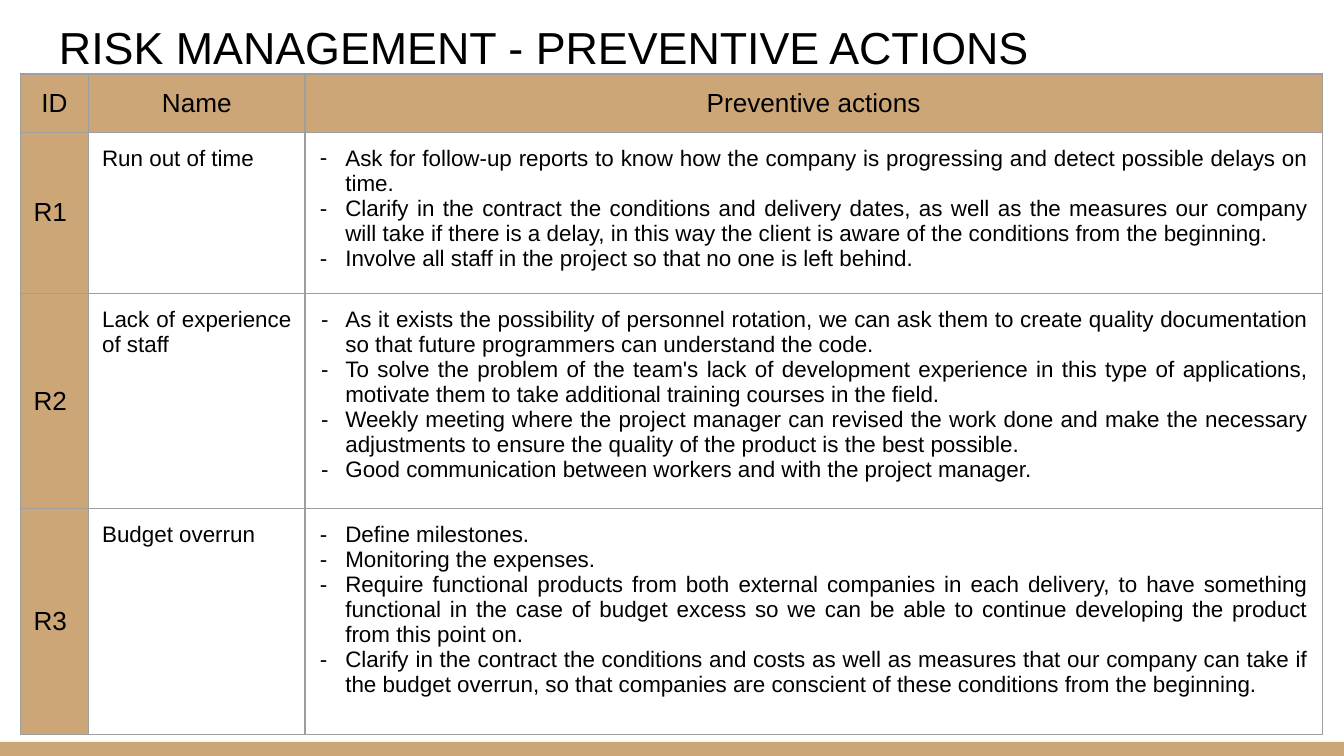
from dataclasses import dataclass

from pptx import Presentation
from pptx.dml.color import RGBColor
from pptx.enum.shapes import MSO_SHAPE as Shape
from pptx.enum.text import MSO_ANCHOR as Anchor, PP_ALIGN as Align
from pptx.oxml.ns import qn
from pptx.slide import Slide
from pptx.table import Table, _Cell as Cell
from pptx.text.text import _Paragraph as Paragraph
from pptx.util import Inches, Pt
from lxml.etree import SubElement


@dataclass(frozen=True)
class Theme:
    font: str = "Arial"
    ink: str = "000000"
    paper: str = "FFFFFF"
    accent: str = "CCA677"
    border: str = "9E9E9E"
    border_width: float = 0.75
    title_size: int = 24
    heading_size: int = 14
    body_size: int = 12


@dataclass(frozen=True)
class Risk:
    code: str
    name: str
    actions: tuple[str, ...]
    height: float
    name_align: Align = Align.LEFT
    hanging: float = 0.19


THEME = Theme()
COLUMN_WIDTHS = (0.51, 1.61, 7.57)
HEADINGS = ("ID", "Name", "Preventive actions")
HEADING_HEIGHT = 0.42
FRAME_SIDE = 3.28
ACTION_INDENT = 0.2
MARGIN = 0.1

RISKS = (
    Risk("R1", "Run out of time", (
        "Ask for follow-up reports to know how the company is progressing and "
        "detect possible delays on time.",
        "Clarify in the contract the conditions and delivery dates, as well as the "
        "measures our company will take if there is a delay, in this way the client "
        "is aware of the conditions from the beginning.",
        "Involve all staff in the project so that no one is left behind.",
    ), 1.07),
    Risk("R2", "Lack of experience of staff", (
        "As it exists the possibility of personnel rotation, we can ask them to "
        "create quality documentation so that future programmers can understand "
        "the code.",
        "To solve the problem of the team's lack of development experience in this "
        "type of applications, motivate them to take additional training courses in "
        "the field.",
        "Weekly meeting where the project manager can revised the work done and make "
        "the necessary adjustments to ensure the quality of the product is the best "
        "possible.",
        "Good communication between workers and with the project manager.",
    ), 1.56, Align.JUSTIFY, 0.18),
    Risk("R3", "Budget overrun", (
        "Define milestones.",
        "Monitoring the expenses.",
        "Require functional products from both external companies in each delivery, "
        "to have something functional in the case of budget excess so we can be able "
        "to continue developing the product from this point on.",
        "Clarify in the contract the conditions and costs as well as measures that "
        "our company can take if the budget overrun, so that companies are conscient "
        "of these conditions from the beginning.",
    ), 1.68),
)


def color(value: str) -> RGBColor:
    return RGBColor.from_string(value)


def write(para: Paragraph, text: str, size: int, align: Align = Align.LEFT) -> None:
    para.text = text
    para.alignment = align
    para.font.name = THEME.font
    para.font.size = Pt(size)
    para.font.color.rgb = color(THEME.ink)


def add_dash(para: Paragraph, hanging: float) -> None:
    properties = para._p.get_or_add_pPr()
    properties.set("marL", str(Inches(ACTION_INDENT)))
    properties.set("indent", str(-Inches(hanging)))
    bullet_color = SubElement(properties, qn("a:buClr"))
    SubElement(bullet_color, qn("a:srgbClr"), val=THEME.ink)
    SubElement(properties, qn("a:buFont"), typeface=THEME.font)
    SubElement(properties, qn("a:buChar"), char="-")
    properties.append(properties.find(qn("a:defRPr")))


def style_cell(cell: Cell, fill: str, anchor: Anchor) -> None:
    cell.margin_left = cell.margin_right = Inches(MARGIN)
    cell.margin_top = cell.margin_bottom = Inches(MARGIN)
    cell.vertical_anchor = anchor
    properties = cell._tc.get_or_add_tcPr()
    for side in ("a:lnL", "a:lnR", "a:lnT", "a:lnB"):
        line = SubElement(properties, qn(side), w=str(Pt(THEME.border_width)))
        solid = SubElement(line, qn("a:solidFill"))
        SubElement(solid, qn("a:srgbClr"), val=THEME.border)
    cell.fill.solid()
    cell.fill.fore_color.rgb = color(fill)


def fill_label(cell: Cell, text: str, align: Align) -> None:
    style_cell(cell, THEME.accent, Anchor.MIDDLE)
    write(cell.text_frame.paragraphs[0], text, THEME.heading_size, align)


def fill_risk(table: Table, row: int, risk: Risk) -> None:
    fill_label(table.cell(row, 0), risk.code, Align.LEFT)

    name_cell = table.cell(row, 1)
    style_cell(name_cell, THEME.paper, Anchor.TOP)
    write(name_cell.text_frame.paragraphs[0], risk.name, THEME.body_size, risk.name_align)

    action_cell = table.cell(row, 2)
    style_cell(action_cell, THEME.paper, Anchor.TOP)
    frame = action_cell.text_frame
    for index, action in enumerate(risk.actions):
        para = frame.add_paragraph() if index else frame.paragraphs[0]
        write(para, action, THEME.body_size, Align.JUSTIFY)
        add_dash(para, risk.hanging)


def add_footer_band(slide: Slide) -> None:
    band = slide.shapes.add_shape(
        Shape.RECTANGLE, Inches(0), Inches(5.52), Inches(10), Inches(0.11))
    band.shadow.inherit = False
    band.fill.solid()
    band.fill.fore_color.rgb = color(THEME.accent)
    band.line.fill.background()


def add_title(slide: Slide, text: str) -> None:
    box = slide.shapes.add_textbox(Inches(0.34), Inches(0.05), Inches(9.32), Inches(0.74))
    frame = box.text_frame
    frame.word_wrap = True
    frame.margin_left = frame.margin_right = Inches(MARGIN)
    frame.margin_top = frame.margin_bottom = Inches(MARGIN)
    write(frame.paragraphs[0], text, THEME.title_size)


def add_risk_table(slide: Slide) -> None:
    heights = (HEADING_HEIGHT, *(risk.height for risk in RISKS))
    holder = slide.shapes.add_table(
        len(heights), len(COLUMN_WIDTHS), Inches(0.15), Inches(0.55),
        Inches(FRAME_SIDE), Inches(FRAME_SIDE))
    table = holder.table
    table.first_row = table.horz_banding = False
    for column, width in zip(table.columns, COLUMN_WIDTHS):
        column.width = Inches(width)
    for row, height in zip(table.rows, heights):
        row.height = Inches(height)
    holder.width = holder.height = Inches(FRAME_SIDE)
    for index, heading in enumerate(HEADINGS):
        fill_label(table.cell(0, index), heading, Align.CENTER)
    for index, risk in enumerate(RISKS, start=1):
        fill_risk(table, index, risk)


def main() -> None:
    deck = Presentation()
    deck.slide_width = Inches(10)
    deck.slide_height = deck.slide_width * 9 // 16
    slide = deck.slides.add_slide(deck.slide_layouts[6])
    add_footer_band(slide)
    add_title(slide, "RISK MANAGEMENT - PREVENTIVE ACTIONS")
    add_risk_table(slide)
    deck.save("out.pptx")


if __name__ == "__main__":
    main()
